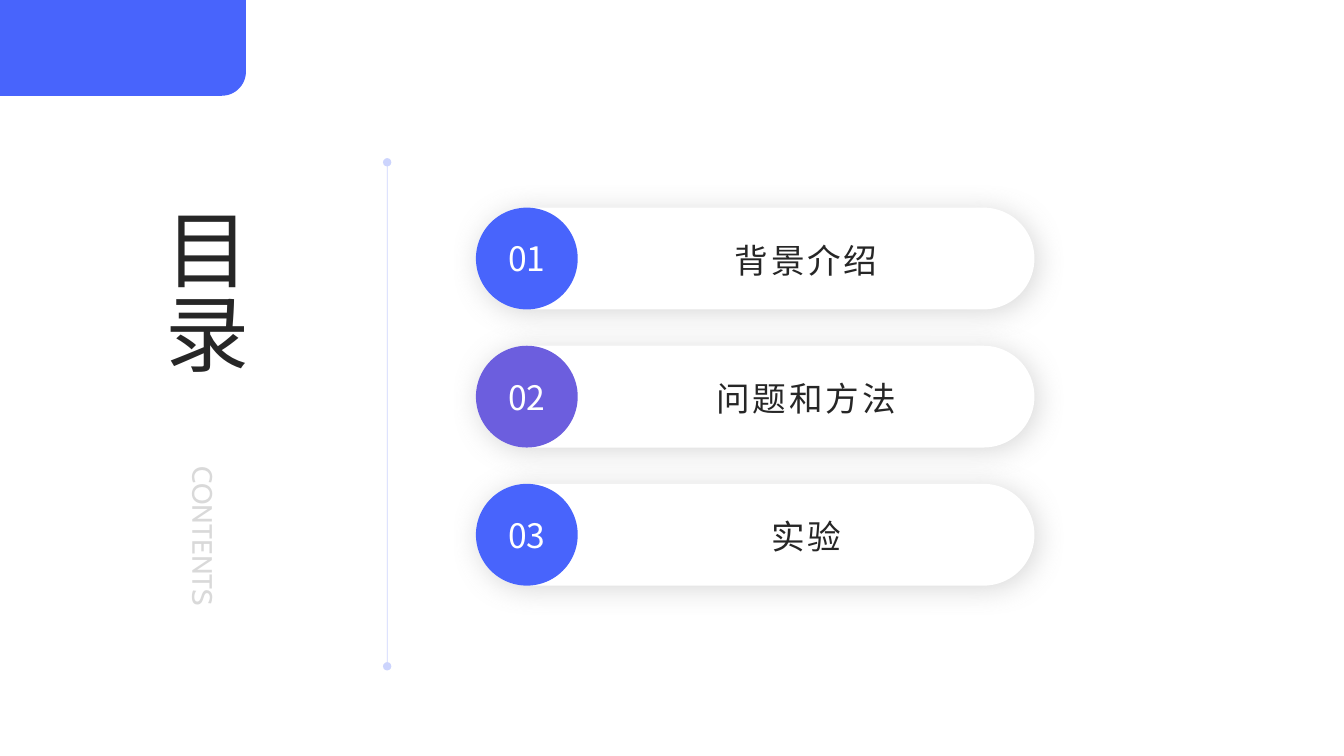
import math

from lxml import etree
from pptx import Presentation
from pptx import util as u
from pptx.dml.color import RGBColor
from pptx.enum import shapes, text
from pptx.oxml.ns import qn

COLORS = {
    "blue": "4864FC",
    "violet": "6C5EDE",
    "rule": "002AF9",
    "ink": "262626",
    "pale": "D9D9D9",
    "white": "FFFFFF",
    "shadow": "808080",
}
LATIN, CJK = "Cabin", "Noto Sans CJK SC"
CHAPTERS = [("背景介绍", "blue"), ("问题和方法", "violet"), ("实验", "blue")]
FIRST_TOP, PITCH, PILL_LEFT, PILL_HEIGHT = 2.06, 1.37, 4.72, 1.01


def add_xml(parent, tag, **attributes):
    values = {name: str(value) for name, value in attributes.items()}
    return etree.SubElement(parent, qn(tag), values)


class ContentsSlide:
    def __init__(self, slide):
        self.slide = slide

    def paint(self, shape, color):
        shape.shadow.inherit = False
        shape.fill.solid()
        shape.fill.fore_color.rgb = RGBColor.from_string(COLORS[color])
        shape.line.fill.background()

    def preset(self, kind, left, top, width, height, color):
        box = [u.Inches(v) for v in (left, top, width, height)]
        shape = self.slide.shapes.add_shape(kind, *box)
        self.paint(shape, color)
        return shape

    def corner_tab(self, left, right, bottom, radius, color):
        """Draw a block at the top edge with its lower right corner rounded."""
        angles = [math.radians(a) for a in range(0, 91, 5)]
        arc = [(right - radius + radius * math.cos(a),
                bottom - radius + radius * math.sin(a)) for a in angles]
        outline = self.slide.shapes.build_freeform(
            u.Inches(left), 0, scale=1.0)
        points = [(right, 0), *arc, (left, bottom)]
        outline.add_line_segments(
            [(u.Inches(x), u.Inches(y)) for x, y in points], close=True)
        self.paint(outline.convert_to_shape(), color)

    def dotted_end_rule(self, x, top, bottom, color):
        rule = self.slide.shapes.add_connector(
            shapes.MSO_CONNECTOR.STRAIGHT, u.Inches(x), u.Inches(top),
            u.Inches(x), u.Inches(bottom))
        rule.line.width = u.Pt(0.5)
        rule.line.color.rgb = RGBColor.from_string(COLORS[color])
        properties = rule.element.spPr
        line = properties.find(qn("a:ln"))
        add_xml(line.find(".//" + qn("a:srgbClr")), "a:alpha", val=20000)
        for end in ("a:headEnd", "a:tailEnd"):
            add_xml(line, end, type="oval")
        add_xml(properties, "a:effectLst")

    def soft_shadow(self, shape):
        effects = shape.element.spPr.find(qn("a:effectLst"))
        shadow = add_xml(effects, "a:outerShdw", blurRad=u.Pt(20),
                         dist=u.Pt(3), dir=45 * 60000, algn="tl",
                         rotWithShape=0)
        tone = add_xml(shadow, "a:srgbClr", val=COLORS["shadow"])
        add_xml(tone, "a:alpha", val=30000)

    def set_text(self, shape, words, size, font, color,
                 align=text.PP_ALIGN.CENTER, spacing=0, **frame_format):
        frame = shape.text_frame
        settings = {"word_wrap": True,
                    "vertical_anchor": text.MSO_ANCHOR.MIDDLE, **frame_format}
        for name, value in settings.items():
            setattr(frame, name, value)
        paragraph = frame.paragraphs[0]
        paragraph.alignment = align
        run = paragraph.add_run()
        run.text = words
        for name, value in {"size": u.Pt(size), "name": font}.items():
            setattr(run.font, name, value)
        run.font.color.rgb = RGBColor.from_string(COLORS[color])
        properties = shape.element.find(".//" + qn("a:rPr"))
        add_xml(properties, "a:ea", typeface=CJK)
        if spacing:
            properties.set("spc", str(spacing * 100))

    def label(self, left, top, width, height, words, **style):
        box = [u.Inches(v) for v in (left, top, width, height)]
        label = self.slide.shapes.add_textbox(*box)
        self.set_text(label, words, **style)
        return label

    def vertical_label(self, left, top, width, height, words, **style):
        label = self.label(left, top, width, height, words,
                           font=LATIN, **style)
        label.element.find(".//" + qn("a:bodyPr")).set("vert", "eaVert")

    def chapter(self, number, title, color):
        top = FIRST_TOP + (number - 1) * PITCH
        pill = self.preset(shapes.MSO_SHAPE.ROUNDED_RECTANGLE, PILL_LEFT, top,
                           5.54, PILL_HEIGHT, "white")
        pill.adjustments[0] = 0.5
        self.soft_shadow(pill)
        badge = self.preset(shapes.MSO_SHAPE.OVAL, PILL_LEFT, top,
                            PILL_HEIGHT, PILL_HEIGHT, color)
        self.set_text(badge, f"{number:02}", 24, CJK, "white", margin_left=0,
                      margin_right=0, margin_top=0, margin_bottom=0)
        self.label(5.9, top + 0.01, 4.19, PILL_HEIGHT, title, size=24,
                   font=CJK, color="ink", spacing=2,
                   margin_top=0, margin_bottom=0)


def main():
    deck = Presentation()
    deck.slide_width, deck.slide_height = u.Inches(13.33), u.Inches(7.5)
    contents = ContentsSlide(deck.slides.add_slide(deck.slide_layouts[6]))
    contents.dotted_end_rule(3.84, 1.61, 6.61, "rule")
    contents.corner_tab(-0.02, 2.44, 0.95, 0.24, "blue")
    contents.vertical_label(1.27, 4.53, 1.5, 2.13, "CONTENTS", size=20,
                            color="pale", align=text.PP_ALIGN.JUSTIFY)
    contents.vertical_label(1.28, 1.96, 1.5, 2.32, "目录", size=60,
                            color="ink", align=text.PP_ALIGN.LEFT)
    for number, (title, color) in enumerate(CHAPTERS, start=1):
        contents.chapter(number, title, color)
    deck.save("out.pptx")


if __name__ == "__main__":
    main()
